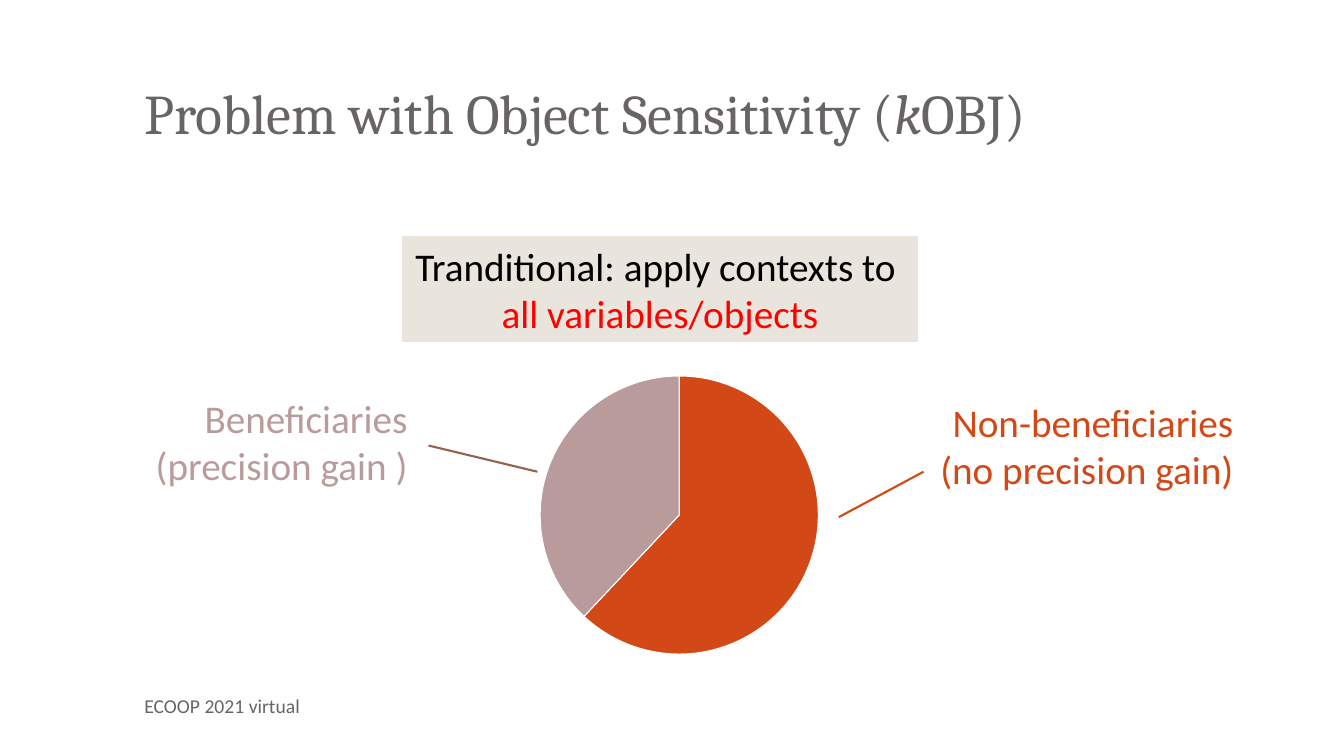
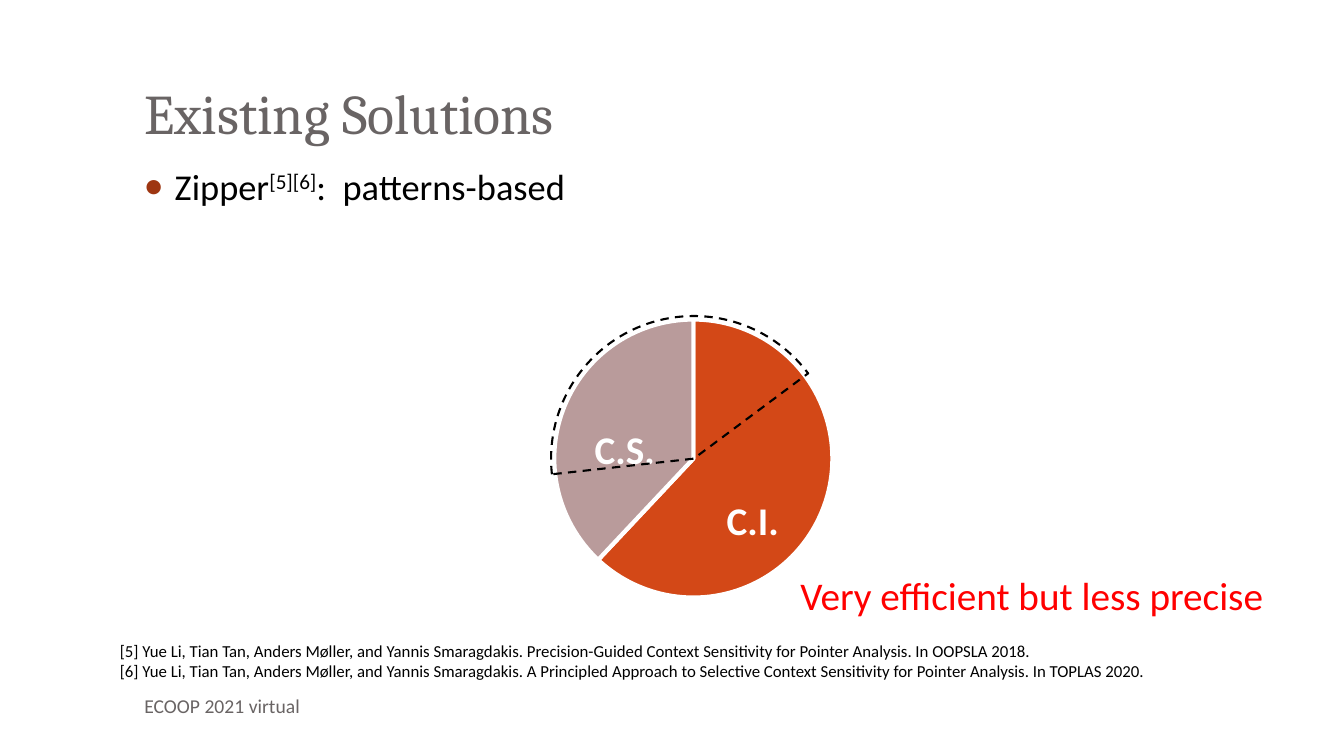
from lxml.etree import SubElement
from pptx import Presentation
from pptx.chart.data import CategoryChartData
from pptx.dml.color import RGBColor
from pptx.enum.chart import XL_CHART_TYPE
from pptx.enum.dml import MSO_LINE
from pptx.enum.shapes import MSO_CONNECTOR, MSO_SHAPE
from pptx.enum.text import MSO_ANCHOR, MSO_AUTO_SIZE, PP_ALIGN
from pptx.oxml import parse_xml
from pptx.oxml.ns import nsdecls, qn
from pptx.util import Inches, Pt

GREY = RGBColor(0x69, 0x64, 0x64)
BLACK = RGBColor(0, 0, 0)
WHITE = RGBColor(255, 255, 255)
RED = RGBColor(255, 0, 0)
SAND = RGBColor(0xE9, 0xE5, 0xDC)
RUST = RGBColor(0xD3, 0x48, 0x17)
ROSE = RGBColor(0xB9, 0x9B, 0x9B)
BROWN = RGBColor(0x95, 0x62, 0x51)

WIDE, HIGH = 13.33, 7.5
LEFT, SPAN = WIDE * 0.1, WIDE * 0.85
CHART = (5.53, 3.04)
DISC = 2.76
RING = 2.83
ARC = 149.6

FOOT = "ECOOP 2021 virtual"
PARTS = {"1": (62, RUST), "2": (38, ROSE)}

NEED = {
    "title": ["Problem with Object Sensitivity (", ("k", {"italic": True}), "OBJ)"],
    "mid": (6.74, 5.11),
    "gap": 0.75,
    "claim": ["Tranditional: apply contexts to ", [("all variables/objects", {"color": RED})]],
    "notes": [
        (["Non-beneficiaries", "(no precision gain)"], (9.1, 3.9, 3.23, 1.04), RUST),
        (["Beneficiaries", "(precision gain )"], (1.41, 3.86, 2.73, 1.04), ROSE),
    ],
    "leads": [((8.32, 5.13), (9.16, 4.68), RUST), ((5.33, 4.68), (4.25, 4.42), BROWN)],
}
FIX = {
    "title": ["Existing Solutions"],
    "mid": (6.88, 4.55),
    "gap": 3,
    "list": [["Zipper", ("[5][6]", {"raised": 30}), ":  patterns-based"]],
    "cites": [
        "[5] Yue Li, Tian Tan, Anders Møller, and Yannis Smaragdakis. Precision-Guided "
        "Context Sensitivity for Pointer Analysis. In OOPSLA 2018.",
        "[6] Yue Li, Tian Tan, Anders Møller, and Yannis Smaragdakis. A Principled Approach "
        "to Selective Context Sensitivity for Pointer Analysis. In TOPLAS 2020.",
    ],
    "tags": [("C.S.", (5.8, 4.17, 0.81, 0.57)), ("C.I.", (7.11, 4.87, 0.73, 0.57))],
    "claim": "Very efficient but less precise",
}


def inch(*nums):
    return [Inches(num) for num in nums]


def write(shape, lines, size=28, color=BLACK, font="Calibri", bold=False,
          align=PP_ALIGN.LEFT, anchor=MSO_ANCHOR.MIDDLE, wrap=True):
    frame = shape.text_frame
    frame.word_wrap = wrap
    frame.auto_size = MSO_AUTO_SIZE.NONE
    frame.vertical_anchor = anchor
    for row, line in enumerate(lines):
        para = frame.paragraphs[0] if row == 0 else frame.add_paragraph()
        para.alignment = align
        for part in [line] if isinstance(line, str) else line:
            text, look = (part, {}) if isinstance(part, str) else part
            run = para.add_run()
            run.text = text
            face = run.font
            face.name, face.size, face.bold = font, Pt(size), bold
            face.italic = look.get("italic", False)
            face.color.rgb = look.get("color", color)
            if "raised" in look:
                run._r.get_or_add_rPr().set("baseline", str(look["raised"] * 1000))
    return shape


def label(slide, lines, box, **look):
    return write(slide.shapes.add_textbox(*inch(*box)), lines, **look)


def place(shape, *box):
    shape.left, shape.top, shape.width, shape.height = inch(*box)
    return shape


def around(mid, wide, high):
    return mid[0] - wide / 2, mid[1] - high / 2, wide, high


def start(deck, kind, title):
    slide = deck.slides.add_slide(deck.slide_layouts[kind])
    head = place(slide.shapes.title, LEFT, 0.3, SPAN, 1.25)
    write(head, [title], size=40, color=GREY, font="Cambria", anchor=MSO_ANCHOR.BOTTOM)
    head.text_frame.margin_bottom = Inches(0.1)
    label(slide, [FOOT], (LEFT, HIGH * 0.9, 5.78, 0.5), size=14, color=GREY)
    return slide


def bullet(para):
    para.space_before = Pt(5.8)
    props = para._p.get_or_add_pPr()
    props.set("marL", str(Inches(0.3)))
    props.set("indent", str(-Inches(0.3)))
    tint = SubElement(props, qn("a:buClr"))
    SubElement(tint, qn("a:srgbClr")).set("val", "9E3611")
    SubElement(props, qn("a:buSzPct")).set("val", "85000")
    SubElement(props, qn("a:buFont")).set("typeface", "Calibri")
    SubElement(props, qn("a:buChar")).set("char", "●")


def pie(slide, mid, gap):
    data = CategoryChartData()
    data.categories = list(PARTS)
    data.add_series("Series 1", [val for val, _ in PARTS.values()])
    box = inch(*around(mid, *CHART))
    chart = slide.shapes.add_chart(XL_CHART_TYPE.PIE, *box, data).chart
    chart.has_title = chart.has_legend = False
    chart.font.name, chart.font.size = "Calibri", Pt(10)
    chart.font.color.rgb = BLACK
    plot = chart.plots[0]
    plot.vary_by_categories = True
    for spot, (_, tint) in enumerate(PARTS.values()):
        form = plot.series[0].points[spot].format
        form.fill.solid()
        form.fill.fore_color.rgb = tint
        form.line.color.rgb = WHITE
        form.line.width = Pt(gap)
    wide, high = [DISC / side for side in CHART]
    rule = {"x": (1 - wide) / 2, "y": (1 - high) / 2, "w": wide, "h": high}
    area = chart._chartSpace.find(".//" + qn("c:plotArea"))
    for old in area.findall(qn("c:layout")):
        area.remove(old)
    vals = "".join(f'<c:{key} val="{val:.3f}"/>' for key, val in rule.items())
    area.insert(0, parse_xml(
        f'<c:layout {nsdecls("c")}><c:manualLayout><c:layoutTarget val="inner"/>'
        f'<c:xMode val="edge"/><c:yMode val="edge"/>{vals}</c:manualLayout></c:layout>'))


def lead(slide, head, tail, tint):
    line = slide.shapes.add_connector(MSO_CONNECTOR.STRAIGHT, *inch(*head, *tail))
    line.line.color.rgb = tint
    line.line.width = Pt(1.5)
    SubElement(line._element.spPr, qn("a:effectLst"))


def need(deck):
    slide = start(deck, 5, NEED["title"])
    box = slide.shapes.add_shape(MSO_SHAPE.RECTANGLE, *inch(3.99, 2.35, 5.11, 1.04))
    box.shadow.inherit = False
    box.fill.solid()
    box.fill.fore_color.rgb = box.line.color.rgb = SAND
    box.line.width = Pt(0.75)
    write(box, NEED["claim"], align=PP_ALIGN.CENTER, wrap=False)
    pie(slide, NEED["mid"], NEED["gap"])
    for ends in NEED["leads"]:
        lead(slide, *ends)
    for lines, spot, tint in NEED["notes"]:
        label(slide, lines, spot, color=tint, align=PP_ALIGN.RIGHT)


def fix(deck):
    slide = start(deck, 1, FIX["title"])
    body = place(slide.placeholders[1], LEFT, 1.58, SPAN, 5)
    write(body, FIX["list"], size=26, anchor=MSO_ANCHOR.TOP)
    for para in body.text_frame.paragraphs:
        bullet(para)
    label(slide, FIX["cites"], (1.09, 6.31, 10.45, 0.5), size=12, wrap=False)
    pie(slide, FIX["mid"], FIX["gap"])
    for text, spot in FIX["tags"]:
        label(slide, [text], spot, color=WHITE, bold=True, wrap=False)
    ring = slide.shapes.add_shape(MSO_SHAPE.PIE, *inch(*around(FIX["mid"], RING, RING)))
    ring.shadow.inherit = False
    ring.fill.background()
    ring.line.color.rgb = BLACK
    ring.line.width = Pt(1.5)
    ring.line.dash_style = MSO_LINE.DASH
    ring.adjustments[0] = 0
    ring.adjustments[1] = ARC * 0.6
    ring.rotation = 173.7
    label(slide, [FIX["claim"]], (7.84, 5.62, 4.85, 0.57), color=RED, wrap=False)


def main():
    deck = Presentation()
    deck.slide_width, deck.slide_height = inch(WIDE, HIGH)
    need(deck)
    fix(deck)
    deck.save("out.pptx")


if __name__ == "__main__":
    main()
